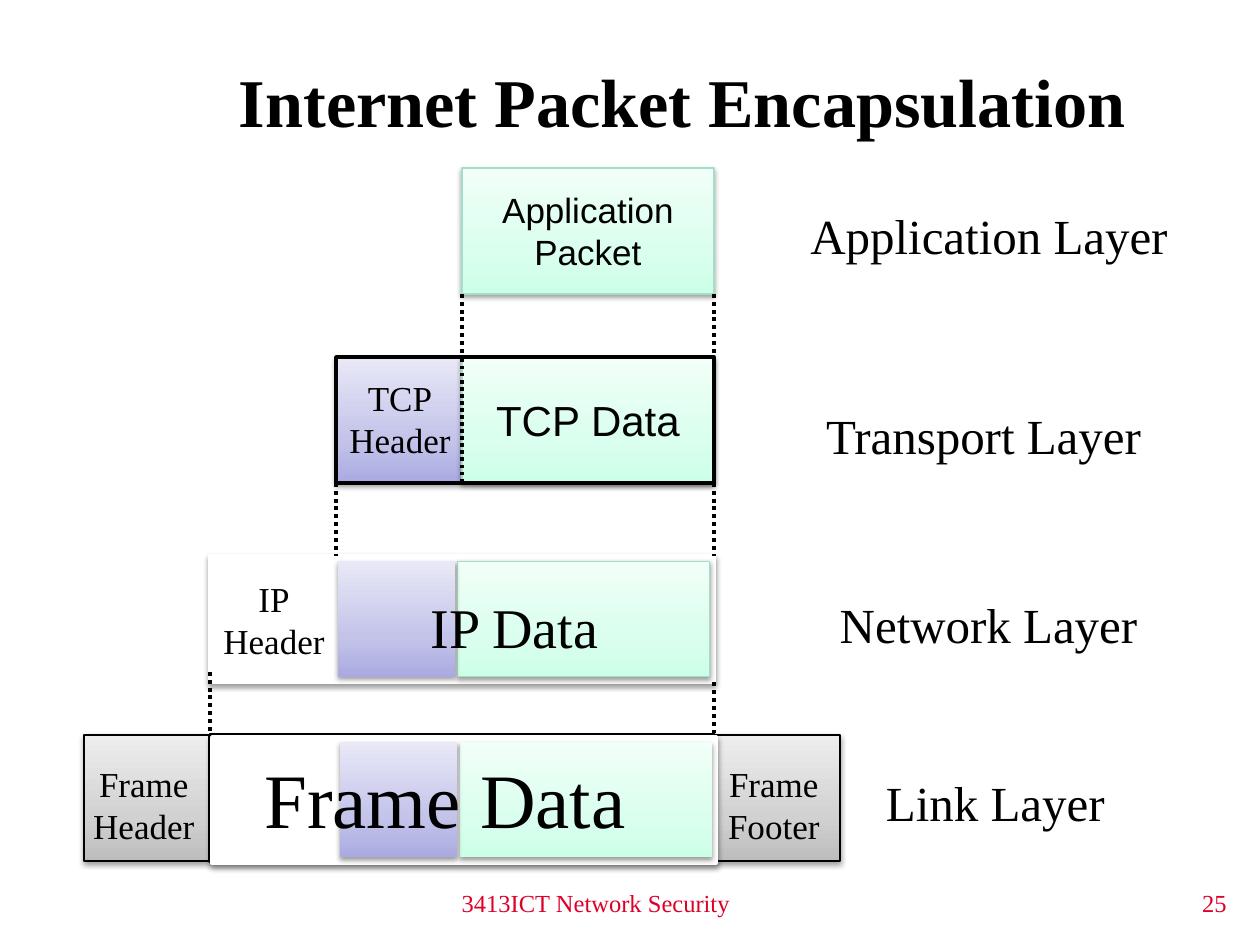
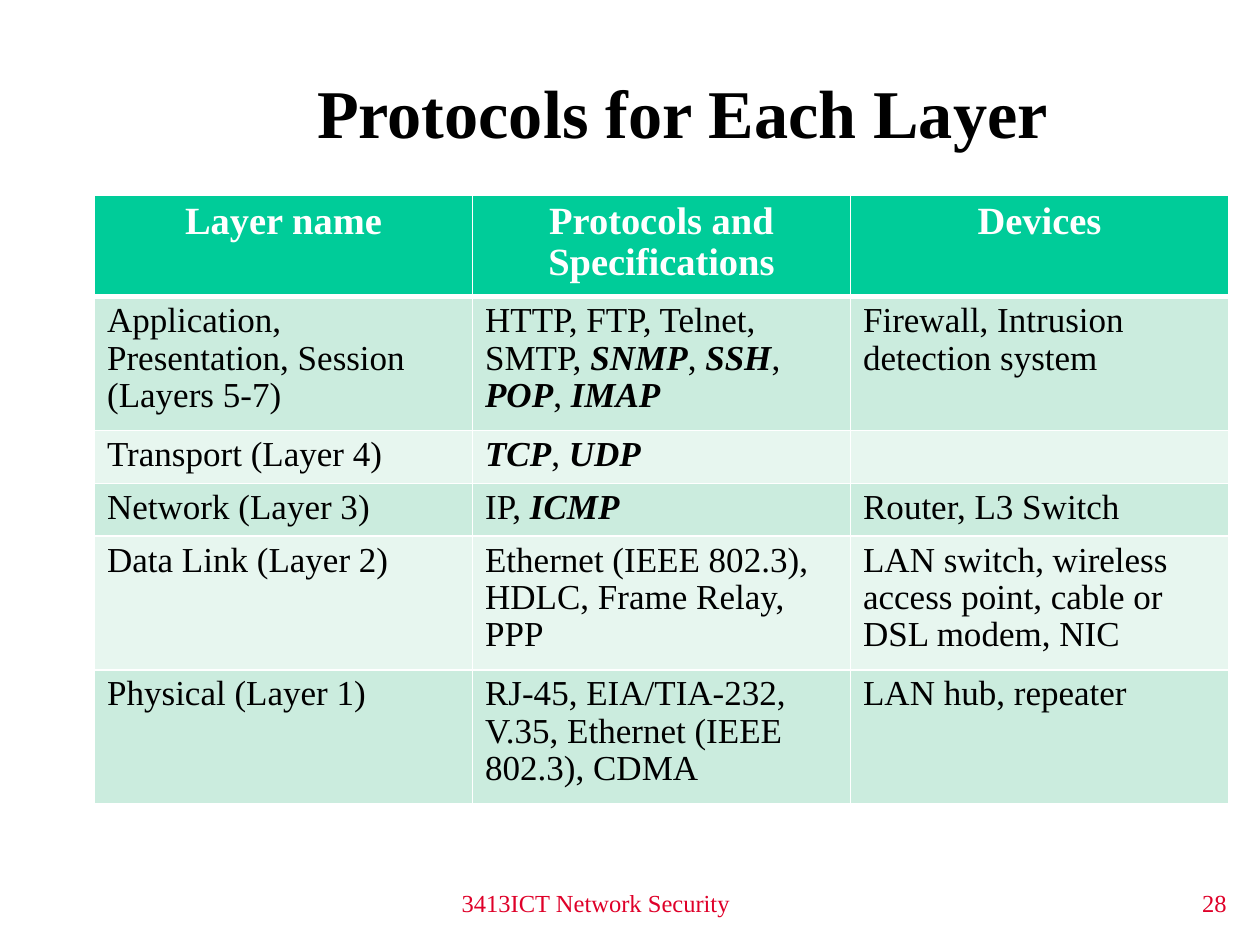
from collections import namedtuple

from lxml import etree
from pptx import Presentation
from pptx.dml.color import RGBColor
from pptx.enum.dml import MSO_LINE
from pptx.enum.shapes import MSO_CONNECTOR, MSO_SHAPE
from pptx.enum.text import MSO_ANCHOR, PP_ALIGN
from pptx.oxml.ns import qn
from pptx.util import Emu, Inches, Pt

LEFT, CENTER, RIGHT = PP_ALIGN.LEFT, PP_ALIGN.CENTER, PP_ALIGN.RIGHT
TOP, MIDDLE = MSO_ANCHOR.TOP, MSO_ANCHOR.MIDDLE
DOTTED = MSO_LINE.ROUND_DOT
RECTANGLE, STRAIGHT = MSO_SHAPE.RECTANGLE, MSO_CONNECTOR.STRAIGHT

BLACK = RGBColor(0x00, 0x00, 0x00)
WHITE = RGBColor(0xFF, 0xFF, 0xFF)
FOOTER_RED = RGBColor(0xDF, 0x00, 0x29)
NAVY = RGBColor(0x00, 0x00, 0x87)
MINT_EDGE = RGBColor(0xA5, 0xDE, 0xC6)
HEADER_GREEN = RGBColor(0x00, 0xCC, 0x99)
BAND_COLOURS = (RGBColor(0xCB, 0xEC, 0xDE), RGBColor(0xE7, 0xF6, 0xEF))
GRAY = (RGBColor(0xBD, 0xBD, 0xBD), RGBColor(0xD1, 0xD1, 0xD1), RGBColor(0xEE, 0xEE, 0xEE))
LILAC = (RGBColor(0xAA, 0xAA, 0xE2), RGBColor(0xC4, 0xC4, 0xEA), RGBColor(0xE8, 0xE8, 0xF7))
MINT = (RGBColor(0xCC, 0xFF, 0xE8), RGBColor(0xDA, 0xFF, 0xEE), RGBColor(0xF1, 0xFF, 0xF8))
GRADIENT_STOPS = (0, 35, 100)

SERIF, SANS = "Times New Roman", "Arial"
SLIDE_WIDTH, SLIDE_HEIGHT = Inches(10), Inches(7.5)
GRID_COLUMNS = 120
UNIT = SLIDE_WIDTH / GRID_COLUMNS
TABLE_LINE_SPACING = 0.96

Box = namedtuple("Box", "left top width height")

APPLICATION = Box(44, 16, 24, 12)
TRANSPORT = Box(32, 34, 36, 12)
NETWORK = Box(20, 53, 48, 12)
LINK = Box(8, 70, 72, 12)
CELL = 12
FOOTER = Box(33.6, 84, 46.3, 4)
PAGE_NUMBER = Box(87.4, 84, 30.6, 4)
PROTOCOL_TABLE = Box(9, 18.6, 108, 29.5)

LAYER_LABELS = (
    ("Application Layer", 76, 19, 38.6),
    ("Transport Layer", 77.5, 38, 35.6),
    ("Network Layer", 78.8, 56, 32.9),
    ("Link Layer", 83.2, 73, 24.2),
)
PROTOCOL_HEADINGS = ("Layer name", "Protocols and Specifications", "Devices")
PROTOCOL_ROWS = (
    ("Application, Presentation, Session (Layers 5-7)",
     "HTTP, FTP, Telnet, SMTP, *SNMP*, *SSH*, *POP*, *IMAP*",
     "Firewall, Intrusion detection system"),
    ("Transport (Layer 4)", "*TCP*, *UDP*", ""),
    ("Network (Layer 3)", "IP, *ICMP*", "Router, L3 Switch"),
    ("Data Link (Layer 2)", "Ethernet (IEEE 802.3), HDLC, Frame Relay, PPP",
     "LAN switch, wireless access point, cable or DSL modem, NIC"),
    ("Physical (Layer 1)", "RJ-45, EIA/TIA-232, V.35, Ethernet (IEEE 802.3), CDMA",
     "LAN hub, repeater"),
)


def within(box, left, top, width, height):
    """Return a box whose corner is measured from the corner of another."""
    return Box(box.left + left, box.top + top, width, height)


def lengths(box):
    """Convert grid units to slide lengths."""
    return [Emu(round(value * UNIT)) for value in box]


def apply(target, formats):
    """Set each named attribute on the target."""
    for name, value in formats.items():
        setattr(target, name, value)


def style_run(run, size, colour=BLACK, font=SERIF, bold=False, italic=False):
    """Give a run its font."""
    apply(run.font, {"size": Pt(size), "name": font, "bold": bold, "italic": italic})
    run.font.color.rgb = colour


def write(frame, lines, size, align=CENTER, anchor=TOP, wrap=True, **style):
    """Write one paragraph a line into a text frame."""
    apply(frame, {"word_wrap": wrap, "vertical_anchor": anchor})
    for index, line in enumerate(lines):
        paragraph = frame.add_paragraph() if index else frame.paragraphs[0]
        paragraph.alignment = align
        run = paragraph.add_run()
        run.text = line
        style_run(run, size, **style)


def add_text(slide, box, *lines, **style):
    """Add a text box."""
    write(slide.shapes.add_textbox(*lengths(box)).text_frame, lines, **style)


def add_xml(parent, tag, **attributes):
    """Append a drawing element with its attributes."""
    values = {name: str(value) for name, value in attributes.items()}
    return etree.SubElement(parent, qn("a:" + tag), values)


def add_colour(parent, colour):
    """Append a colour element."""
    return add_xml(parent, "srgbClr", val=colour)


def fill_gradient(shape, colours):
    """Fill a shape from its bottom edge upwards."""
    shape.fill.gradient()
    gradient = shape._element.spPr.find(qn("a:gradFill"))
    for child in list(gradient):
        gradient.remove(child)
    stops = add_xml(gradient, "gsLst")
    for position, colour in zip(GRADIENT_STOPS, colours):
        add_colour(add_xml(stops, "gs", pos=position * 1000), colour)
    add_xml(gradient, "lin", ang=270 * 60000, scaled=0)


def add_block(slide, box, fill=None, edge=None, width=0.75, dash=None):
    """Add a rectangle; a filled one casts a soft shadow."""
    shape = slide.shapes.add_shape(RECTANGLE, *lengths(box))
    shape.shadow.inherit = False
    if fill is None:
        shape.fill.background()
    elif isinstance(fill, RGBColor):
        shape.fill.solid()
        shape.fill.fore_color.rgb = fill
    else:
        fill_gradient(shape, fill)
    if edge is None:
        shape.line.fill.background()
    else:
        shape.line.color.rgb = edge
        apply(shape.line, {"width": Pt(width), "dash_style": dash})
    if fill is not None:
        effects = shape._element.spPr.find(qn("a:effectLst"))
        shadow = add_xml(effects, "outerShdw", blurRad=Pt(3.1), dist=Pt(1.6),
                         dir=90 * 60000, rotWithShape=0)
        add_xml(add_colour(shadow, BLACK), "alpha", val=38000)
    return shape


def add_guide(slide, column, top, bottom):
    """Add a dotted vertical line between two layers."""
    start_x, start_y, end_x, end_y = lengths((column, top, column, bottom))
    guide = slide.shapes.add_connector(STRAIGHT, start_x, start_y, end_x, end_y)
    guide.line.color.rgb = BLACK
    apply(guide.line, {"width": Pt(2.25), "dash_style": DOTTED})
    add_xml(guide._element.spPr, "effectLst")


def add_cell_label(slide, box, left, top, *lines):
    """Label a header or footer cell of a layer."""
    add_text(slide, within(box, left, top, 13.4, 8.8), *lines, size=20, wrap=False)


def add_nested_packet(slide, box, data_edge=None):
    """Show the transport header and data inside a wider packet."""
    add_block(slide, within(box, 23.6, 0.45, 24, 11), MINT, data_edge)
    add_block(slide, within(box, 12.15, 0.45, 11.2, 11), LILAC)


def draw_application(slide, box):
    """Draw the application packet."""
    packet = add_block(slide, box, MINT, MINT_EDGE)
    write(packet.text_frame, ["Application Packet"], 20, anchor=MIDDLE, font=SANS)


def draw_transport(slide, box):
    """Draw the transport header and its data."""
    data_box = within(box, CELL, 0, box.width - CELL, box.height)
    add_block(slide, box, LILAC, NAVY)
    data = add_block(slide, data_box, MINT, MINT_EDGE)
    write(data.text_frame, ["TCP Data"], 24, anchor=MIDDLE, font=SANS)
    add_cell_label(slide, box, -0.6, 1.3, "TCP", "Header")
    add_block(slide, data_box, edge=BLACK, width=2, dash=DOTTED)
    add_block(slide, box, edge=BLACK, width=2)


def draw_network(slide, box):
    """Draw the network header and its data."""
    add_block(slide, box, WHITE, WHITE, 2.25)
    add_cell_label(slide, box, -0.6, 1.4, "IP", "Header")
    add_nested_packet(slide, box, MINT_EDGE)
    add_text(slide, within(box, 13, 2.8, 32, 7.2), "IP Data", size=32)


def draw_link(slide, box):
    """Draw the frame with its header, data and footer."""
    data_box = within(box, CELL, 0, box.width - 2 * CELL, box.height)
    add_block(slide, box, GRAY, BLACK)
    add_cell_label(slide, box, -1, 2, "Frame", "Header")
    add_cell_label(slide, box, box.width - CELL - 1, 2, "Frame", "Footer")
    add_block(slide, data_box, edge=BLACK, width=2)
    payload = within(data_box, 0.2, 0.2, data_box.width, data_box.height)
    add_block(slide, payload, WHITE, WHITE, 2.25)
    add_nested_packet(slide, payload)
    add_text(slide, within(data_box, 4, 1, 41.5, 10), "Frame Data",
             size=44, align=LEFT, wrap=False)


def draw_guides(slide):
    """Join the edges of each packet to the layer below."""
    right = APPLICATION.left + APPLICATION.width
    spans = ((APPLICATION, TRANSPORT.top, 0), (TRANSPORT, NETWORK.top, 0),
             (NETWORK, LINK.top, -1))
    for box, bottom, start in spans:
        base = box.top + box.height
        add_guide(slide, box.left, base + start, bottom)
        add_guide(slide, right, base, bottom)


def fill_cell(cell, text, fill, align=LEFT, bottom=1, top=1, **style):
    """Write a table cell; text between asterisks is bold italic."""
    paragraph = cell.text_frame.paragraphs[0]
    apply(paragraph, {"alignment": align, "line_spacing": TABLE_LINE_SPACING})
    for index, part in enumerate(text.split("*")):
        if part:
            run = paragraph.add_run()
            run.text = part
            emphasis = {"bold": True, "italic": True} if index % 2 else {}
            style_run(run, **{**style, **emphasis})
    properties = cell._tc.get_or_add_tcPr()
    for side, width in (("lnL", 1), ("lnR", 1), ("lnT", top), ("lnB", bottom)):
        add_colour(add_xml(add_xml(properties, side, w=Pt(width)), "solidFill"), WHITE)
    cell.fill.solid()
    cell.fill.fore_color.rgb = fill


def draw_protocol_table(slide, box):
    """Draw the table of protocols and devices by layer."""
    table = slide.shapes.add_table(len(PROTOCOL_ROWS) + 1, len(PROTOCOL_HEADINGS),
                                   *lengths(box)).table
    for column, heading in enumerate(PROTOCOL_HEADINGS):
        fill_cell(table.cell(0, column), heading, HEADER_GREEN, CENTER, bottom=3,
                  size=22, colour=WHITE, bold=True)
    for row, texts in enumerate(PROTOCOL_ROWS):
        for column, text in enumerate(texts):
            fill_cell(table.cell(row + 1, column), text, BAND_COLOURS[row % 2],
                      top=1 if row else 3, size=20)


def add_slide(presentation, title, title_box, number):
    """Add a blank slide with its title and footer."""
    slide = presentation.slides.add_slide(presentation.slide_layouts[6])
    add_text(slide, title_box, title, size=39, bold=True, anchor=MIDDLE)
    add_text(slide, FOOTER, "3413ICT Network Security", size=14, colour=FOOTER_RED)
    add_text(slide, PAGE_NUMBER, number, size=14, colour=FOOTER_RED, align=RIGHT)
    return slide


def build_encapsulation(presentation):
    """Build the slide that shows how packets are wrapped."""
    slide = add_slide(presentation, "Internet Packet Encapsulation", Box(15, 2, 100, 15), "25")
    draw_application(slide, APPLICATION)
    draw_transport(slide, TRANSPORT)
    draw_network(slide, NETWORK)
    draw_guides(slide)
    draw_link(slide, LINK)
    for text, left, top, width in LAYER_LABELS:
        add_text(slide, Box(left, top, width, 6.5), text, size=28, align=LEFT, wrap=False)


def build_protocols(presentation):
    """Build the slide that lists protocols for each layer."""
    slide = add_slide(presentation, "Protocols for Each Layer", Box(15, 4.3, 100, 12.6), "28")
    draw_protocol_table(slide, PROTOCOL_TABLE)


def main():
    """Build and save the presentation."""
    presentation = Presentation()
    apply(presentation, {"slide_width": SLIDE_WIDTH, "slide_height": SLIDE_HEIGHT})
    build_encapsulation(presentation)
    build_protocols(presentation)
    presentation.save("out.pptx")


if __name__ == "__main__":
    main()
